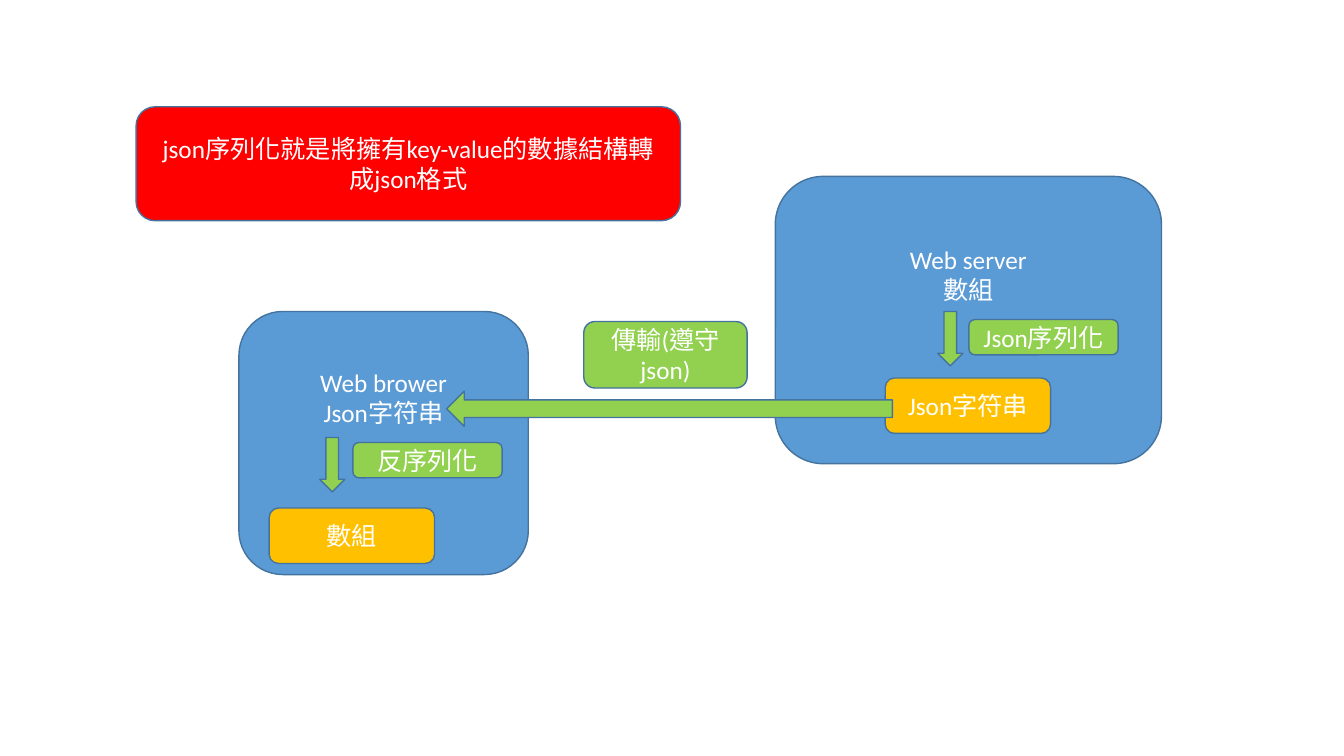
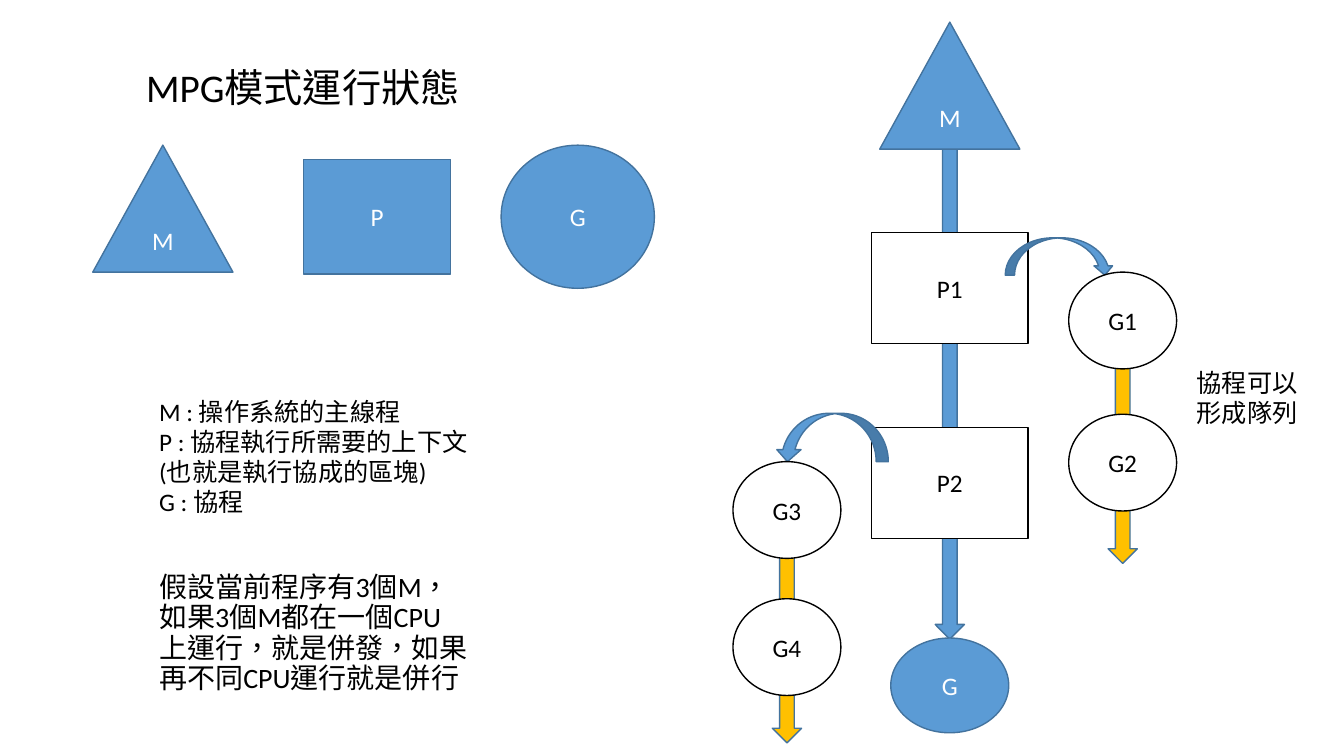
from pptx import Presentation
from pptx.dml.color import RGBColor
from pptx.enum.lang import MSO_LANGUAGE_ID
from pptx.enum.shapes import MSO_SHAPE
from pptx.enum.text import MSO_ANCHOR, MSO_AUTO_SIZE, PP_ALIGN
from pptx.util import Inches, Pt

ROUNDED = MSO_SHAPE.ROUNDED_RECTANGLE
RECTANGLE = MSO_SHAPE.RECTANGLE
TRIANGLE = MSO_SHAPE.ISOSCELES_TRIANGLE
OVAL = MSO_SHAPE.OVAL
DOWN = MSO_SHAPE.DOWN_ARROW
LEFT = MSO_SHAPE.LEFT_ARROW
CURVED_DOWN = MSO_SHAPE.CURVED_DOWN_ARROW
CURVED_UP = MSO_SHAPE.CURVED_UP_ARROW
TOP, MIDDLE = MSO_ANCHOR.TOP, MSO_ANCHOR.MIDDLE
ALIGN_LEFT, CENTER = PP_ALIGN.LEFT, PP_ALIGN.CENTER
NO_FIT = MSO_AUTO_SIZE.NONE
CHINESE = MSO_LANGUAGE_ID.TRADITIONAL_CHINESE

FONT = "Calibri"
BLUE, EDGE = "5B9BD5", "43739E"
GREEN, GOLD, RED = "92D050", "FFC000", "FF0000"
WHITE, BLACK = "FFFFFF", "000000"
TITLE_ONLY, BLANK = 5, 6


def rgb(value):
    return RGBColor.from_string(value)


def write(frame, text, color, size=18, align=ALIGN_LEFT, anchor=TOP, spacing=None):
    frame.text = text
    frame.word_wrap = True
    frame.auto_size = NO_FIT
    frame.vertical_anchor = anchor
    frame.margin_left = frame.margin_right = Inches(0.1)
    frame.margin_top = frame.margin_bottom = Inches(0.05)
    for paragraph in frame.paragraphs:
        paragraph.alignment = align
        paragraph.line_spacing = spacing
        for run in paragraph.runs:
            run.font.name = FONT
            run.font.size = Pt(size)
            run.font.color.rgb = rgb(color)
            run.font.language_id = CHINESE


def add_block(slide, kind, box, fill, text="", edge=EDGE, ink=WHITE):
    block = slide.shapes.add_shape(kind, *map(Inches, box))
    block.shadow.inherit = False
    block.fill.solid()
    block.fill.fore_color.rgb = rgb(fill)
    block.line.color.rgb = rgb(edge)
    block.line.width = Pt(1)
    if text:
        write(block.text_frame, text, ink, align=CENTER, anchor=MIDDLE)
    return block


def add_outlined(slide, kind, box, text):
    add_block(slide, kind, box, WHITE, text, BLACK, BLACK)


def add_note(slide, box, text, size=18, spacing=None):
    note = slide.shapes.add_textbox(*map(Inches, box))
    write(note.text_frame, text, BLACK, size, spacing=spacing)


def add_title(slide, box, text):
    title = slide.shapes.title
    title.left, title.top, title.width, title.height = map(Inches, box)
    write(title.text_frame, text, BLACK, 28)


def add_endpoint(slide, box, heading, arrow_at, step_at, step, result_at, result):
    left, top = box[:2]

    def place(offset, width, height):
        return left + offset[0], top + offset[1], width, height

    panel = add_block(slide, ROUNDED, box, BLUE, heading)
    panel.text_frame.margin_bottom = Inches(0.95)
    add_block(slide, ROUNDED, place(result_at, 1.64, 0.55), GOLD, result)
    add_block(slide, DOWN, place(arrow_at, 0.25, 0.54), GREEN)
    label = add_block(slide, ROUNDED, place(step_at, 1.48, 0.35), GREEN, step)
    label.text_frame.margin_left = label.text_frame.margin_right = Inches(0.02)


def add_legend(slide, left, top):
    add_block(slide, TRIANGLE, (left, top, 1.39, 1.26), BLUE, "M")
    add_block(slide, RECTANGLE, (left + 2.09, top + 0.14, 1.46, 1.14), BLUE, "P")
    add_block(slide, OVAL, (left + 4.05, top, 1.52, 1.42), BLUE, "G")


def add_thread(slide, center, top):
    def centered(offset, width, height):
        return center - width / 2, top + offset, width, height

    add_block(slide, DOWN, centered(1.03, 0.29, 5.09), BLUE)
    for offset, name in ((2.09, "P1"), (4.02, "P2")):
        add_outlined(slide, RECTANGLE, centered(offset, 1.55, 1.1), name)
    add_block(slide, OVAL, centered(6.11, 1.17, 0.94), BLUE, "G")
    add_block(slide, TRIANGLE, centered(0, 1.39, 1.26), BLUE, "M")


def add_queue(slide, left, top, pitch, tail, names):
    width, height = 1.07, 0.96
    middle = height / 2
    length = pitch * (len(names) - 1) + middle + tail
    add_block(slide, DOWN, (left + 0.39, top + middle, 0.29, length), GOLD)
    for index, name in enumerate(names):
        add_outlined(slide, OVAL, (left, top + index * pitch, width, height), name)


def build_json_slide(deck):
    slide = deck.slides.add_slide(deck.slide_layouts[BLANK])
    add_endpoint(slide, (7.69, 1.75, 3.83, 2.85), "Web server\n數組",
                 (1.61, 1.34), (1.92, 1.42), "Json序列化", (1.09, 2), "Json字符串")
    add_endpoint(slide, (2.37, 3.09, 2.87, 2.61), "Web brower\nJson字符串",
                 (0.8, 1.25), (1.13, 1.3), "反序列化", (0.3, 1.95), "數組")
    add_block(slide, ROUNDED, (5.79, 3.19, 1.62, 0.66), GREEN, "傳輸(遵守json)")
    add_block(slide, LEFT, (4.43, 3.88, 4.42, 0.35), GREEN)
    add_block(slide, ROUNDED, (1.35, 1.06, 5.4, 1.13), RED,
              "json序列化就是將擁有key-value的數據結構轉成json格式")


def build_mpg_slide(deck):
    slide = deck.slides.add_slide(deck.slide_layouts[TITLE_ONLY])
    add_title(slide, (1.35, 0.58, 3.87, 0.57), "MPG模式運行狀態")
    add_legend(slide, 0.92, 1.44)
    add_note(slide, (1.48, 3.88, 3.49, 1.31),
             "M : 操作系統的主線程\nP : 協程執行所需要的上下文\n"
             "(也就是執行協成的區塊)\nG : 協程")
    add_note(slide, (1.48, 5.64, 3.27, 1.26),
             "假設當前程序有3個M，如果3個M都在一個CPU上運行，就是併發，"
             "如果再不同CPU運行就是併行", 20, 0.9)
    add_thread(slide, 9.42, 0.22)
    add_block(slide, CURVED_DOWN, (9.97, 2.36, 1.08, 0.37), BLUE)
    add_queue(slide, 10.6, 2.7, 1.41, 0.52, ("G1", "G2"))
    add_note(slide, (11.77, 3.59, 1.21, 0.71), "協程可以形成隊列")
    back_arrow = add_block(slide, CURVED_UP, (7.69, 4.1, 1.12, 0.48), BLUE)
    back_arrow.rotation = 180
    add_queue(slide, 7.27, 4.58, 1.36, 0.47, ("G3", "G4"))


def main():
    deck = Presentation()
    deck.slide_width, deck.slide_height = Inches(13.33), Inches(7.5)
    build_json_slide(deck)
    build_mpg_slide(deck)
    deck.save("out.pptx")


if __name__ == "__main__":
    main()
